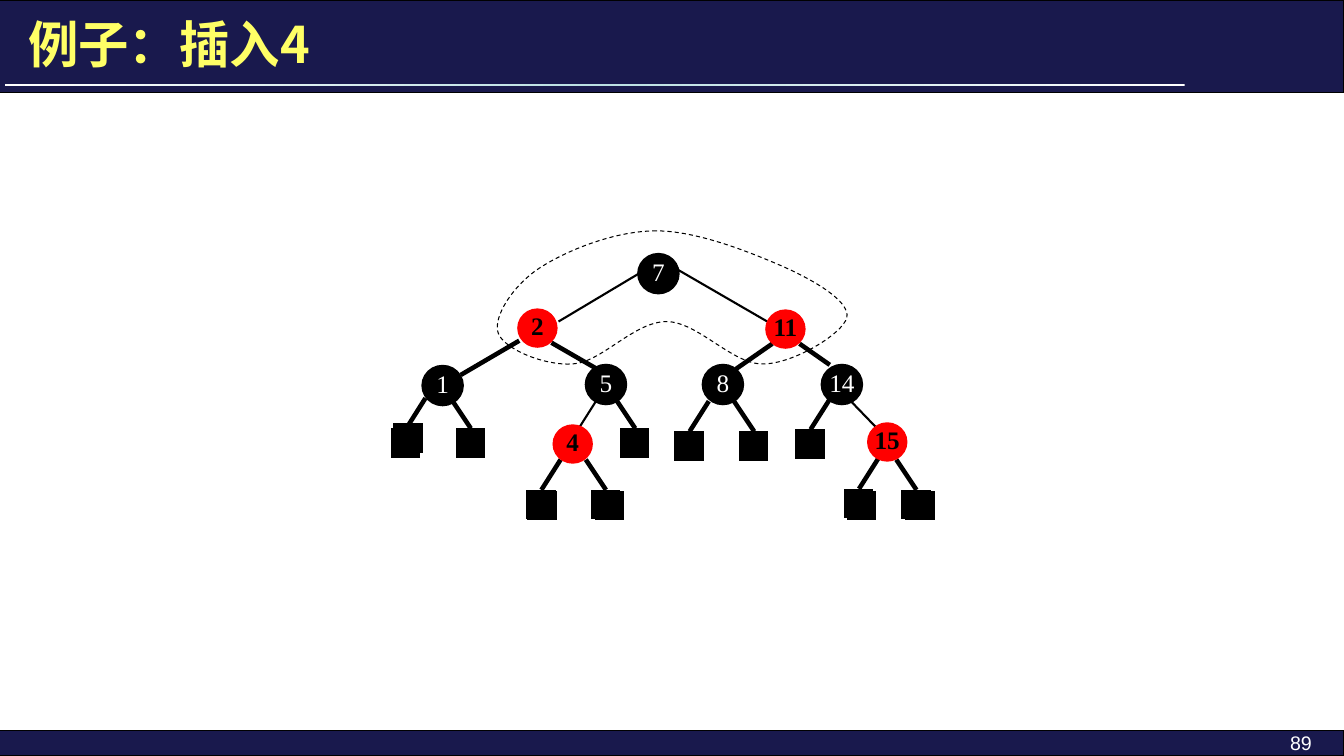
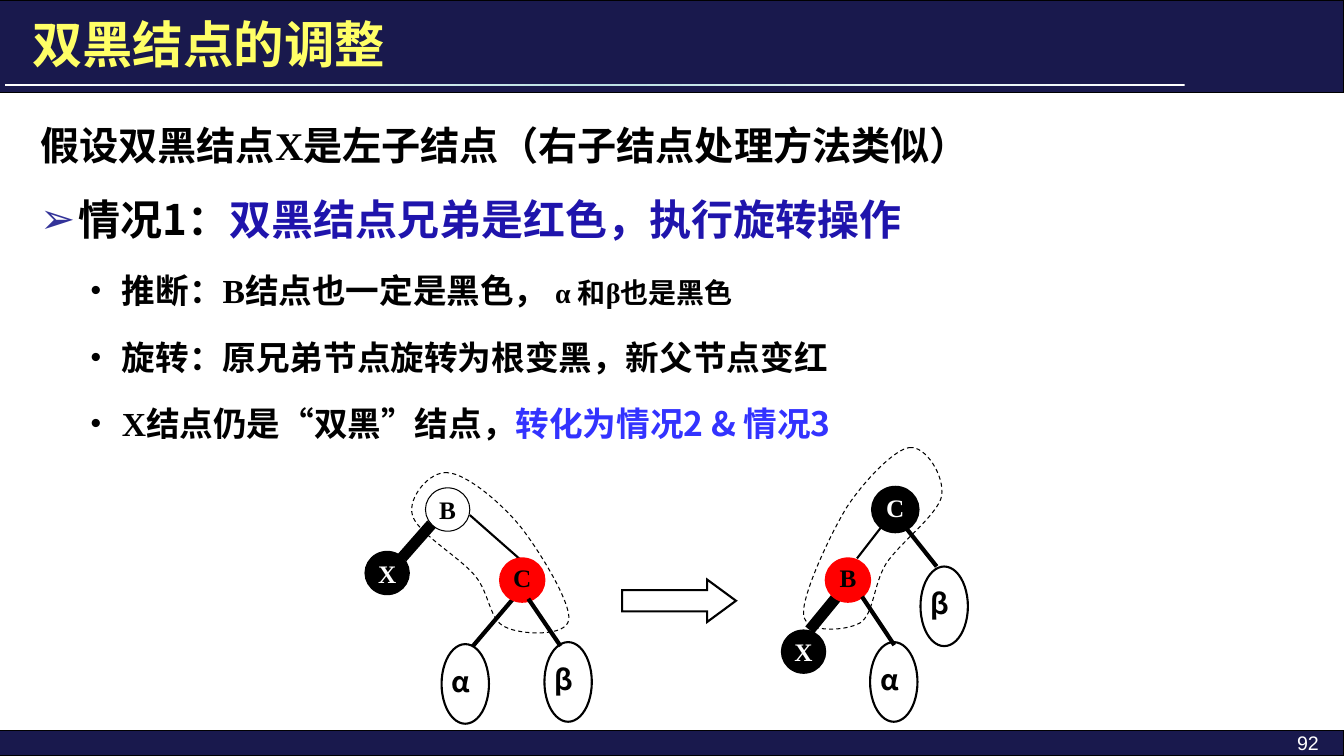
from collections import namedtuple
from copy import deepcopy

from pptx import Presentation
from pptx.dml.color import RGBColor
from pptx.enum import dml, shapes, text
from pptx.oxml import ns
from pptx.oxml.xmlchemy import OxmlElement
from pptx.util import Inches, Pt

BLACK = RGBColor(0, 0, 0)
WHITE = RGBColor(255, 255, 255)
RED = RGBColor(255, 0, 0)
NAVY = RGBColor(0x19, 0x19, 0x4D)
PALE = RGBColor(0xBB, 0xE0, 0xE3)
YELLOW = RGBColor(0xFF, 0xFF, 0x66)
BULLET = RGBColor(0x33, 0x33, 0x99)
INDIGO = RGBColor(0x1F, 0x14, 0xAC)
BLUE = RGBColor(0x33, 0x33, 0xFF)

SANS, SERIF, ARIAL = "Noto Sans CJK SC", "Times New Roman", "Arial"
W, H = 13.33, 7.5
SHAPE = shapes.MSO_SHAPE
ALIGN = text.PP_ALIGN

Style = namedtuple("Style", "fill line width font bold bottom")
BLACK_NODE = Style(BLACK, BLACK, 3, WHITE, False, 0.05)
RED_NODE = Style(RED, RED, 1.5, BLACK, True, 0.05)
ROOT_NODE = BLACK_NODE._replace(bold=True)
OPEN_NODE = Style(None, BLACK, 0.75, BLACK, True, 0)
X_NODE = Style(BLACK, BLACK, 0.75, WHITE, True, 0)

Rotation = namedtuple("Rotation", "under nodes over subtrees outline")


def add_run(p, words, size, color, font=SANS, bold=True):
    r = p.add_run()
    r.text = words
    r.font.size, r.font.bold, r.font.name = Pt(size), bold, font
    r.font.color.rgb = color
    ea = OxmlElement("a:ea")
    ea.set("typeface", SANS)
    r.font._element.append(ea)


def paint(sp, fill, line, width):
    sp.shadow.inherit = False
    if fill is None:
        sp.fill.background()
    else:
        sp.fill.solid()
        sp.fill.fore_color.rgb = fill
    sp.line.color.rgb = line
    sp.line.width = Pt(width)


def add_shape(s, kind, x, y, w, h, fill=None, line=BLACK, width=0.75):
    sp = s.shapes.add_shape(kind, Inches(x), Inches(y), Inches(w), Inches(h))
    paint(sp, fill, line, width)
    miter = OxmlElement("a:miter")
    miter.set("lim", "800000")
    sp.line._get_or_add_ln().append(miter)
    return sp


def add_text(s, x, y, w, h, anchor=text.MSO_ANCHOR.TOP):
    tf = s.shapes.add_textbox(Inches(x), Inches(y), Inches(w), Inches(h)).text_frame
    tf.word_wrap = True
    tf.vertical_anchor = anchor
    return tf


def add_edge(s, x, y, x1, y1, x2, y2, width=3.25):
    """Line between two points given relative to (x, y)."""
    c = s.shapes.add_connector(shapes.MSO_CONNECTOR.STRAIGHT, Inches(x + x1),
                               Inches(y + y1), Inches(x + x2), Inches(y + y2))
    c.line.color.rgb = BLACK
    c.line.width = Pt(width)
    c._element.spPr.append(OxmlElement("a:effectLst"))


def add_node(s, x, y, size, label, style):
    sp = add_shape(s, SHAPE.OVAL, x, y, size, size - 0.01,
                   style.fill, style.line, style.width)
    tf = sp.text_frame
    tf.word_wrap = False
    tf.margin_left = tf.margin_right = tf.margin_top = 0
    tf.margin_bottom = Inches(style.bottom)
    tf.vertical_anchor = text.MSO_ANCHOR.MIDDLE
    p = tf.paragraphs[0]
    p.alignment = ALIGN.CENTER
    add_run(p, label, 18, style.font, SERIF, style.bold)


def add_outline(s, x, y, start, curves):
    """Closed dashed outline of cubic curves, relative to (x, y)."""
    def point(px, py):
        return Inches(x + px), Inches(y + py)

    builder = s.shapes.build_freeform(*point(*start), scale=1.0)
    builder.add_line_segments([point(*c[4:]) for c in curves], close=True)
    sp = builder.convert_to_shape()
    paint(sp, None, BLACK, 0.75)
    sp.line.dash_style = dml.MSO_LINE.DASH
    segments = list(sp._element.iter(ns.qn("a:lnTo")))
    for segment, curve in zip(segments, curves):
        bezier = OxmlElement("a:cubicBezTo")
        for pair in (curve[:2], curve[2:4], curve[4:]):
            px, py = point(*pair)
            pt = OxmlElement("a:pt")
            pt.set("x", str(px - sp.left))
            pt.set("y", str(py - sp.top))
            bezier.append(pt)
        segment.getparent().replace(segment, bezier)


def add_frame(s, title, title_x, number, number_right):
    """Bands, title with its rule, and page number."""
    add_shape(s, SHAPE.RECTANGLE, 0, H - 0.25, W, 0.25, NAVY)
    add_shape(s, SHAPE.RECTANGLE, 0, 0, W, 0.92, NAVY)
    rule = add_shape(s, SHAPE.RECTANGLE, 0.05, 0.83, 11.7, 0.02)
    rule.line.fill.background()
    rule.fill.gradient()
    rule.fill.gradient_angle = 0
    stops = rule._element.spPr.find(ns.qn("a:gradFill")).find(ns.qn("a:gsLst"))
    stops.insert(1, deepcopy(stops[0]))
    for stop, (place, color) in zip(rule.fill.gradient_stops,
                                    ((0, WHITE), (0.5, PALE), (1, WHITE))):
        stop.position = place
        stop.color.rgb = color
    tf = add_text(s, title_x, 0.08, 11.5, 0.7, text.MSO_ANCHOR.MIDDLE)
    add_run(tf.paragraphs[0], title, 36, YELLOW)
    p = add_text(s, number_right - 2, 7.2, 2, 0.25).paragraphs[0]
    p.alignment = ALIGN.RIGHT
    add_run(p, number, 14, WHITE, ARIAL, False)


def add_leaf(s, x, y, side, shift=None):
    """Black leaf with the edge to its parent; shift places a second square."""
    offsets = [(0, 0)] + ([shift] if shift else [])
    for dx, dy in offsets:
        add_shape(s, SHAPE.RECTANGLE, x + dx, y + dy, 0.25, 0.25, BLACK, BLACK, 3)
    add_edge(s, x, y, 0.13, -0.02, 0.32 if side == "L" else -0.07, -0.32)


TREE_EDGES = [
    (2.46, 0.45, 1.64, 0.94, 1.5), (2.83, 0.43, 3.71, 0.94, 1.5),
    (1.25, 1.13, 0.67, 1.47), (1.57, 1.15, 2.09, 1.45),
    (1.84, 2, 2.03, 1.7, 1.5), (4.51, 1.7, 4.78, 1.98, 1.5),
    (4.33, 1.37, 4.03, 1.16), (3.4, 1.41, 3.76, 1.16),
]
TREE_LEAVES = [
    (0, 2.02, "L", (0.02, -0.05)), (0.64, 2.02, "R"),
    (2.81, 2.05, "L"), (3.45, 2.05, "R"), (2.27, 2.02, "R"),
    (1.34, 2.63, "L", (0.01, 0.01)), (1.98, 2.63, "R", (0.04, 0.01)),
    (4.01, 2.03, "L"),
    (4.49, 2.62, "L", (0.03, 0.02)), (5.06, 2.63, "R", (0.04, 0.01)),
]
TREE_NODES = [
    (2.44, 0.28, "7", BLACK_NODE), (1.24, 0.82, "2", RED_NODE),
    (3.7, 0.83, "11", RED_NODE), (0.3, 1.39, "1", BLACK_NODE),
    (1.92, 1.38, "5", BLACK_NODE), (3.08, 1.38, "8", BLACK_NODE),
    (4.26, 1.38, "14", BLACK_NODE), (1.59, 1.97, "4", RED_NODE),
    (4.71, 1.95, "15", RED_NODE),
]
TREE_OUTLINE = (2.61, 0.04), [
    (2.19, 0.04, 1.71, 0.24, 1.45, 0.41), (1.19, 0.58, 0.99, 0.89, 1.04, 1.05),
    (1.09, 1.21, 1.5, 1.38, 1.78, 1.36), (2.06, 1.35, 2.39, 0.94, 2.71, 0.94),
    (3.02, 0.94, 3.37, 1.37, 3.67, 1.36), (3.97, 1.36, 4.46, 1.06, 4.5, 0.9),
    (4.53, 0.74, 4.19, 0.54, 3.88, 0.4), (3.56, 0.26, 3.02, 0.04, 2.61, 0.04),
]
BEFORE = Rotation(
    under=[(1.06, 0.71, 1.56, 1.15, 1.5), (1.49, 1.54, 1.09, 2.01, 3)],
    nodes=[(0.62, 0.44, "B", OPEN_NODE), (1.36, 1.14, "C", RED_NODE),
           (0.02, 1.07, "X", X_NODE)],
    over=[(1.64, 1.54, 1.96, 2.01, 3), (0.39, 1.13, 0.68, 0.8, 8)],
    subtrees=[(0.78, 1.99, "α"), (1.8, 1.97, "β")],
    outline=((0.84, 0.29), [
        (0.66, 0.27, 0.44, 0.54, 0.49, 0.71), (0.53, 0.88, 0.95, 1.12, 1.11, 1.31),
        (1.26, 1.49, 1.25, 1.75, 1.41, 1.82), (1.56, 1.9, 2.02, 1.92, 2.04, 1.75),
        (2.07, 1.59, 1.75, 1.06, 1.55, 0.81), (1.35, 0.57, 1.02, 0.3, 0.84, 0.29)]))
AFTER = Rotation(
    under=[(1.04, 0.83, 0.8, 1.14, 1.5), (0.65, 1.46, 0.33, 1.85, 8),
           (1.28, 0.83, 1.59, 1.22, 3)],
    nodes=[(0.05, 1.85, "X", X_NODE), (0.49, 1.14, "B", RED_NODE),
           (0.96, 0.44, "C", ROOT_NODE)],
    over=[(0.85, 1.52, 1.17, 2, 3)],
    subtrees=[(0.93, 1.97, "α"), (1.43, 1.22, "β")],
    outline=((1.32, 0.04), [
        (1.48, 0.02, 1.67, 0.32, 1.64, 0.52), (1.6, 0.71, 1.23, 0.98, 1.09, 1.19),
        (0.96, 1.4, 0.97, 1.69, 0.83, 1.78), (0.69, 1.86, 0.29, 1.89, 0.27, 1.7),
        (0.25, 1.51, 0.53, 0.91, 0.7, 0.63), (0.88, 0.36, 1.17, 0.06, 1.32, 0.04)]))


def add_tree(s, x, y):
    for edge in TREE_EDGES:
        add_edge(s, x, y, *edge)
    for dx, dy, *leaf in TREE_LEAVES:
        add_leaf(s, x + dx, y + dy, *leaf)
    for dx, dy, label, style in TREE_NODES:
        add_node(s, x + dx, y + dy, 0.38, label, style)
    add_outline(s, x, y, *TREE_OUTLINE)


def add_rotation(s, x, y, tree):
    for edge in tree.under:
        add_edge(s, x, y, *edge)
    for dx, dy, label, style in tree.nodes:
        add_node(s, x + dx, y + dy, 0.44, label, style)
    for edge in tree.over:
        add_edge(s, x, y, *edge)
    for dx, dy, label in tree.subtrees:
        add_shape(s, SHAPE.OVAL, x + dx, y + dy, 0.47, 0.79, width=1.5)
        tf = add_text(s, x + dx, y + dy + 0.15, 0.38, 0.32)
        add_run(tf.paragraphs[0], label, 20, BLACK)
    add_outline(s, x, y, *tree.outline)


def set_bullet(p, left, hang, char=None, color=None, size=100):
    pPr = p._p.get_or_add_pPr()
    pPr.set("marL", str(Inches(left)))
    pPr.set("indent", str(-Inches(hang)))
    if char is None:
        return
    if color is not None:
        buClr = OxmlElement("a:buClr")
        rgb = OxmlElement("a:srgbClr")
        rgb.set("val", str(color))
        buClr.append(rgb)
        pPr.append(buClr)
    for tag, key, value in (("a:buSzPct", "val", str(size * 1000)),
                            ("a:buFont", "typeface", ARIAL),
                            ("a:buChar", "char", char)):
        el = OxmlElement(tag)
        el.set(key, value)
        pPr.append(el)


HEAD, CASE, POINT = ((0.38, 0.38), (0.38, 0.38, "➢", BULLET),
                     (0.81, 0.31, "•", None, 90))
BODY = [  # bullet, line spacing, space before, runs
    (HEAD, 1.5, 0, [("假设双黑结点X是左子结点（右子结点处理方法类似）", 28, BLACK, SERIF)]),
    (CASE, 1.5, 0, [("情况1：", 30, BLACK), ("双黑结点兄弟是红色，执行旋转操作", 30, INDIGO)]),
    (POINT, 1.4, 7.2, [("推断", 24, BLACK), ("：B结点也一定是黑色， ", 24, BLACK, SERIF),
                       ("α 和β也是黑色", 20, BLACK, SERIF)]),
    (POINT, 1.4, 7.2, [("旋转", 24, BLACK),
                       ("：原兄弟节点旋转为根变黑，新父节点变红", 24, BLACK, SERIF)]),
    (POINT, 1.4, 7.2, [("X结点仍是“双黑”结点，", 24, BLACK, SERIF),
                       ("转化为情况2 & 情况3", 24, BLUE)]),
]


def add_body(s, x, y, w, h):
    tf = add_text(s, x, y, w, h)
    for i, (bullet, spacing, before, runs) in enumerate(BODY):
        p = tf.add_paragraph() if i else tf.paragraphs[0]
        set_bullet(p, *bullet)
        p.line_spacing = spacing
        p.space_before = Pt(before)
        for r in runs:
            add_run(p, *r)


def insertion_slide(prs):
    s = prs.slides.add_slide(prs.slide_layouts[6])
    add_frame(s, "例子：插入4", 0.18, "89", 13.11)
    add_tree(s, 3.9, 2.25)


def double_black_slide(prs):
    s = prs.slides.add_slide(prs.slide_layouts[6])
    add_frame(s, "双黑结点的调整", 0.22, "92", 13.18)
    add_body(s, 0.3, 0.92, 12.62, 3.49)
    add_rotation(s, 3.6, 4.4, BEFORE)
    arrow = add_shape(s, SHAPE.RIGHT_ARROW, 6.17, 5.75, 1.13, 0.42, width=1.5)
    arrow.adjustments[1] = 0.68
    add_rotation(s, 7.7, 4.4, AFTER)


def main():
    prs = Presentation()
    prs.slide_width, prs.slide_height = Inches(W), Inches(H)
    insertion_slide(prs)
    double_black_slide(prs)
    prs.save("out.pptx")


if __name__ == "__main__":
    main()
